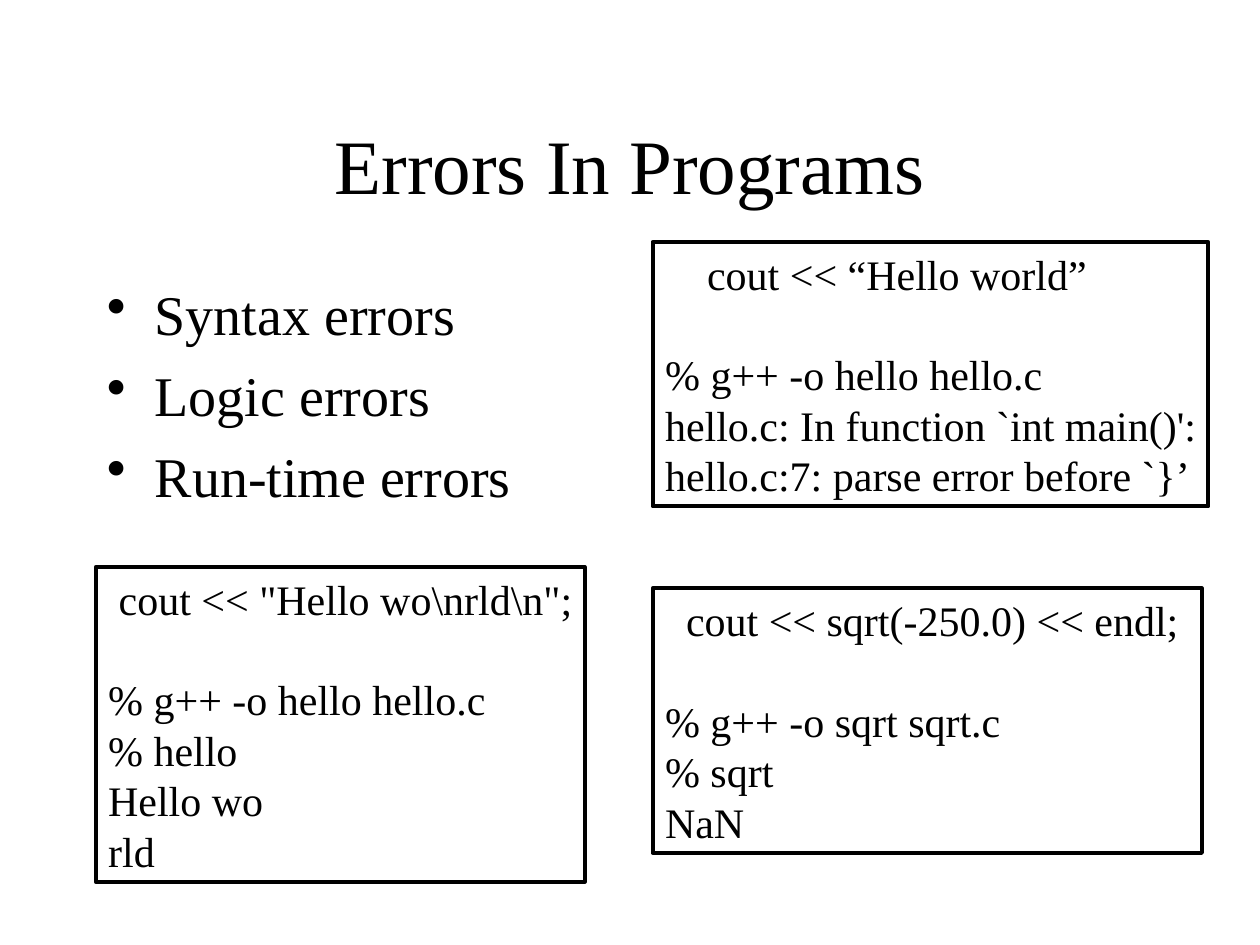
from lxml import etree
from pptx import Presentation
from pptx.dml.color import RGBColor
from pptx.enum.shapes import MSO_SHAPE
from pptx.enum.text import MSO_ANCHOR, PP_ALIGN
from pptx.oxml.ns import qn
from pptx.util import Inches, Pt

RECTANGLE = MSO_SHAPE.RECTANGLE
TOP, MIDDLE = MSO_ANCHOR.TOP, MSO_ANCHOR.MIDDLE
LEFT, CENTER = PP_ALIGN.LEFT, PP_ALIGN.CENTER
FONT = "Times New Roman"
BLACK = "000000"
CODE_SIZE = 24
CODE_LINE = 28.8
SPACE_WIDTH = CODE_SIZE / 4 / 72
BULLET_INDENT = 0.38

TITLE = "Errors In Programs"
ERROR_KINDS = ["Syntax errors", "Logic errors", "Run-time errors"]
EXAMPLES = [
    {"left": 5.18, "top": 1.92, "width": 4.41, "indent_spaces": 4,
     "code": "cout << “Hello world”",
     "session": ["% g++ -o hello hello.c",
                 "hello.c: In function `int main()':",
                 "hello.c:7: parse error before `}’"]},
    {"left": 0.76, "top": 4.5, "width": 3.88, "indent_spaces": 1,
     "code": r'cout << "Hello wo\nrld\n";',
     "session": ["% g++ -o hello hello.c", "% hello", "Hello wo", "rld"]},
    {"left": 5.18, "top": 4.67, "width": 4.36, "indent_spaces": 2,
     "code": "cout << sqrt(-250.0) << endl;",
     "session": ["% g++ -o sqrt sqrt.c", "% sqrt", "NaN"]},
]


def color(value):
    return RGBColor.from_string(value)


def set_indent(paragraph, margin, first_line, bullet=None):
    properties = paragraph._p.get_or_add_pPr()
    properties.set("marL", str(Inches(margin)))
    properties.set("indent", str(Inches(first_line)))
    if bullet:
        etree.SubElement(properties, qn("a:buChar")).set("char", bullet)


def write_text(shape, lines, size, align=LEFT, anchor=TOP, space_before=0):
    frame = shape.text_frame
    frame.word_wrap = True
    frame.vertical_anchor = anchor
    frame.text = "\n".join(lines)
    for paragraph in frame.paragraphs:
        paragraph.alignment = align
        paragraph.space_before = Pt(space_before)
        font = paragraph.runs[0].font
        font.name = FONT
        font.size = Pt(size)
        font.color.rgb = color(BLACK)
    return frame


def add_example(slide, example):
    lines = [example["code"], *example["session"]]
    height = (len(lines) + 1) * CODE_LINE / 72 + 0.1
    box = slide.shapes.add_shape(
        RECTANGLE, Inches(example["left"]), Inches(example["top"]),
        Inches(example["width"]), Inches(height))
    box.shadow.inherit = False
    box.fill.background()
    box.line.color.rgb = color(BLACK)
    box.line.width = Pt(2.25)
    frame = write_text(box, lines, CODE_SIZE)
    frame.margin_right = 0
    code, command = frame.paragraphs[:2]
    set_indent(code, 0, example["indent_spaces"] * SPACE_WIDTH)
    command.space_before = Pt(CODE_LINE)


def main():
    presentation = Presentation()
    presentation.slide_width = Inches(10)
    presentation.slide_height = Inches(7.5)
    slide = presentation.slides.add_slide(presentation.slide_layouts[6])

    title = slide.shapes.add_textbox(
        Inches(0.75), Inches(0.67), Inches(8.5), Inches(1.25))
    write_text(title, [TITLE], 44, align=CENTER, anchor=MIDDLE)

    body = slide.shapes.add_textbox(
        Inches(0.75), Inches(2.17), Inches(8.5), Inches(4.5))
    frame = write_text(body, ERROR_KINDS, 32, space_before=8)
    for paragraph in frame.paragraphs:
        set_indent(paragraph, BULLET_INDENT, -BULLET_INDENT, bullet="•")

    for example in EXAMPLES:
        add_example(slide, example)

    presentation.save("out.pptx")


if __name__ == "__main__":
    main()
